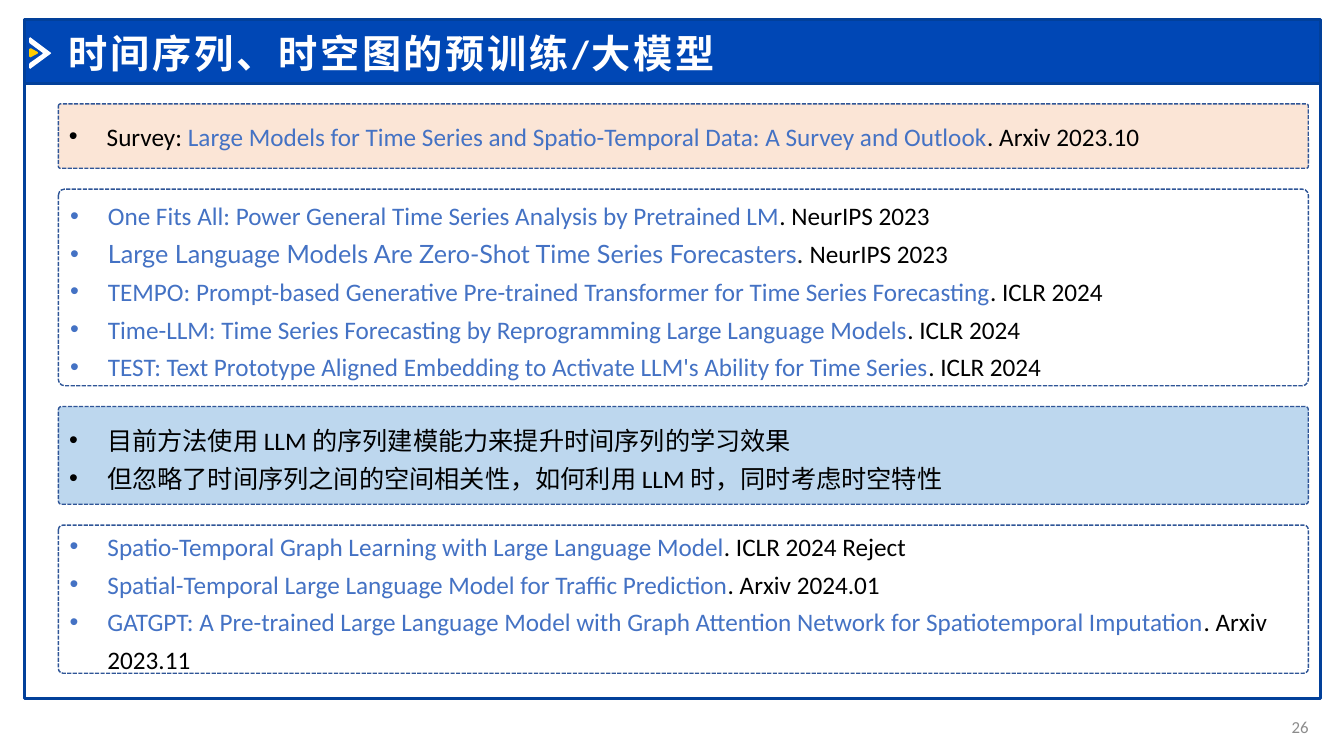
from pptx import Presentation
from pptx.dml.color import RGBColor
from pptx.enum import dml, shapes, text
from pptx.util import Pt
from lxml import etree

NAVY, BLUE, INK, WHITE = "02409A", "4472C4", "000000", "FFFFFF"
TITLE = "时间序列、时空图的预训练/大模型"
PAGE = "26"
PANELS = [
    (46, "FBE5D6", 1, [
        [("Survey: ", INK),
         ("Large Models for Time Series and Spatio-Temporal Data: A Survey and Outlook", BLUE),
         (". Arxiv 2023.10", INK)],
    ]),
    (140.4, None, 1.25, [
        [("One Fits All: Power General Time Series Analysis by Pretrained LM", BLUE),
         (". NeurIPS 2023", INK)],
        [("Large Language Models Are Zero-Shot Time Series Forecasters", BLUE, "Lato"),
         (". ", "1F2328", "Lato"), ("NeurIPS 2023", INK)],
        [("TEMPO: Prompt-based Generative Pre-trained Transformer for Time Series Forecasting", BLUE),
         (". ICLR 2024", INK)],
        [("Time-LLM: Time Series Forecasting by Reprogramming Large Language Models", BLUE),
         (". ICLR 2024", INK)],
        [("TEST: Text Prototype Aligned Embedding to Activate LLM's Ability for Time Series", BLUE),
         (". ICLR 2024", INK)],
    ]),
    (69.8, "BDD7EE", 1.25, [
        [("目前方法使用 LLM 的序列建模能力来提升时间序列的学习效果", INK)],
        [("但忽略了时间序列之间的空间相关性，如何利用 LLM 时，同时考虑时空特性", INK)],
    ]),
    (105.8, None, 1.25, [
        [("Spatio-Temporal Graph Learning with Large Language Model", BLUE),
         (". ICLR 2024 Reject", INK)],
        [("Spatial-Temporal Large Language Model for Traffic Prediction", BLUE),
         (". Arxiv 2024.01", INK)],
        [("GATGPT: A Pre-trained Large Language Model with Graph Attention Network "
          "for Spatiotemporal Imputation", BLUE),
         (". Arxiv 2023.11", INK)],
    ]),
]
FRAMES = [(59.76, 439.2, None), (13.68, 46.08, "0047B5")]
MARKS = [
    (WHITE, [(21.6, 26.6), (36.5, 37.8), (36.5, 38.2), (21.6, 49.2), (20.9, 48.6),
             (20.9, 45.7), (21.3, 45), (30.6, 38.4), (30.6, 37.8), (21.3, 31),
             (20.9, 30.2), (20.9, 27.2)]),
    ("FFCC00", [(21.6, 34.5), (22.3, 34.6), (27, 37.2), (27, 38.2), (22.3, 40.7),
                (21.6, 41), (20.9, 40.4), (20.9, 35.1)]),
]
FRAME_LEFT, FRAME_WIDTH = 17.28, 925.92
PANEL_LEFT, PANEL_TOP, PANEL_WIDTH, GAP, RADIUS = 41.76, 74.2, 892.8, 14.9, 0.031
INDENT = 27


def color(value):
    return RGBColor.from_string(value)


def paint(sp, fill, line=None, width=1):
    sp.shadow.inherit = False
    if fill:
        sp.fill.solid()
        sp.fill.fore_color.rgb = color(fill)
    else:
        sp.fill.background()
    if line:
        sp.line.color.rgb = color(line)
        sp.line.width = Pt(width)
    else:
        sp.line.fill.background()


def add_run(p, words, size, ink, font="Calibri", bold=False):
    r = p.add_run()
    r.text = words
    r.font.size, r.font.name, r.font.bold = Pt(size), font, bold
    r.font.color.rgb = color(ink)
    return r


def add_bullet(p):
    pPr = p._p.get_or_add_pPr()
    pPr.set("marL", str(Pt(INDENT)))
    pPr.set("indent", str(-Pt(INDENT)))
    ns = pPr.nsmap["a"]
    etree.SubElement(pPr, f"{{{ns}}}buFont", typeface="Arial")
    etree.SubElement(pPr, f"{{{ns}}}buChar", char="•")


def add_panel(s, top, height, fill, spacing, items):
    sp = s.shapes.add_shape(shapes.MSO_SHAPE.ROUNDED_RECTANGLE, Pt(PANEL_LEFT), Pt(top),
                            Pt(PANEL_WIDTH), Pt(height))
    sp.adjustments[0] = RADIUS
    paint(sp, fill, "2F5597")
    sp.line.dash_style = dml.MSO_LINE.SQUARE_DOT
    tf = sp.text_frame
    tf.word_wrap = True
    tf.vertical_anchor = text.MSO_ANCHOR.MIDDLE
    for i, item in enumerate(items):
        p = tf.add_paragraph() if i else tf.paragraphs[0]
        add_bullet(p)
        p.alignment = text.PP_ALIGN.LEFT
        p.line_spacing = float(spacing)
        for words, ink, *font in item:
            add_run(p, words, 18, ink, *font)


def main():
    prs = Presentation()
    prs.slide_width, prs.slide_height = Pt(960), Pt(540)
    s = prs.slides.add_slide(prs.slide_layouts[5])

    for top, height, fill in FRAMES:
        sp = s.shapes.add_shape(shapes.MSO_SHAPE.RECTANGLE, Pt(FRAME_LEFT), Pt(top),
                                Pt(FRAME_WIDTH), Pt(height))
        paint(sp, fill, NAVY, 2)

    for fill, points in MARKS:
        start, *rest = [(Pt(x), Pt(y)) for x, y in points]
        outline = s.shapes.build_freeform(*start)
        outline.add_line_segments(rest, close=True)
        paint(outline.convert_to_shape(), fill)

    title = s.shapes.title
    title.left, title.top, title.width, title.height = Pt(41.76), Pt(17.28), Pt(794.88), Pt(41.04)
    s.shapes._spTree.append(title._element)
    tf = title.text_frame
    tf.vertical_anchor = text.MSO_ANCHOR.MIDDLE
    p = tf.paragraphs[0]
    p.alignment = text.PP_ALIGN.LEFT
    r = add_run(p, TITLE, 28, WHITE, bold=True)
    r._r.get_or_add_rPr().set("spc", "200")

    top = PANEL_TOP
    for height, fill, spacing, items in PANELS:
        add_panel(s, top, height, fill, spacing, items)
        top += height + GAP

    tf = s.shapes.add_textbox(Pt(884.88), Pt(504.72), Pt(56.88), Pt(28.8)).text_frame
    tf.word_wrap = True
    tf.vertical_anchor = text.MSO_ANCHOR.MIDDLE
    p = tf.paragraphs[0]
    p.alignment = text.PP_ALIGN.RIGHT
    add_run(p, PAGE, 12, "8C8C8C")

    prs.save("out.pptx")


if __name__ == "__main__":
    main()
